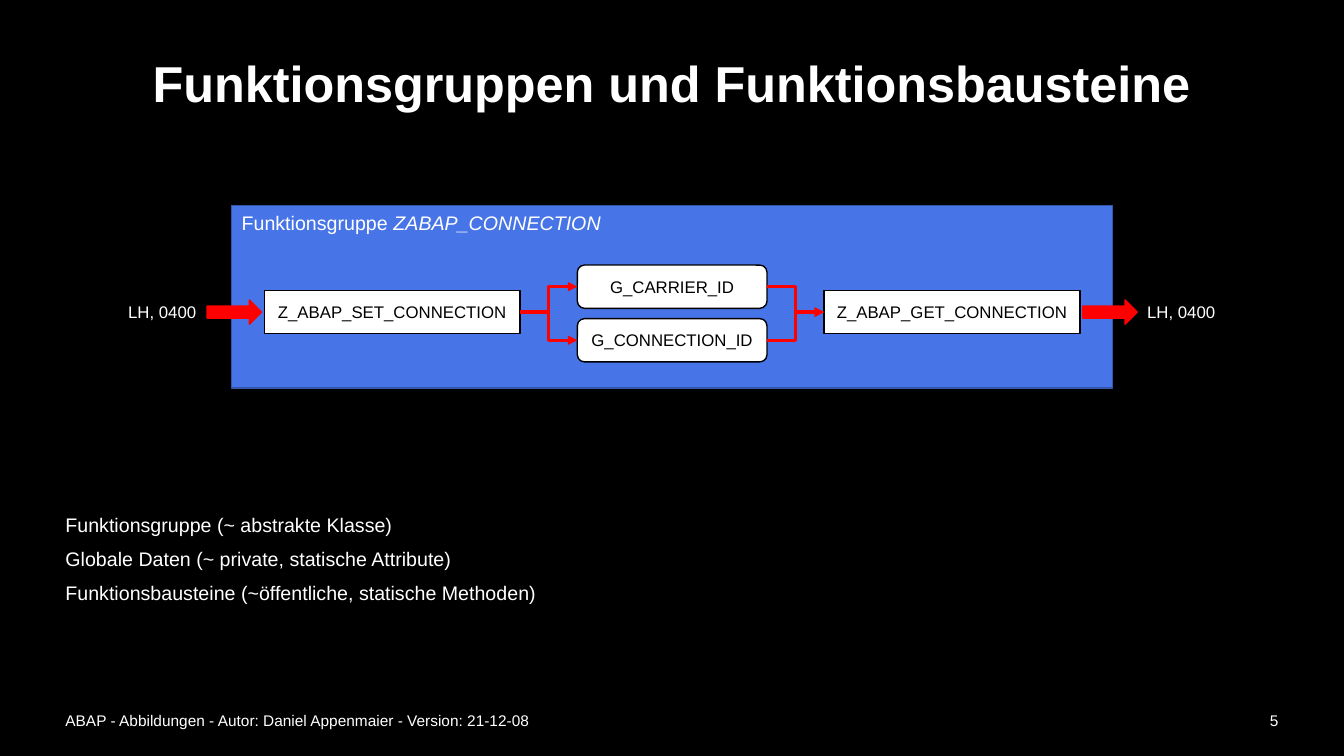
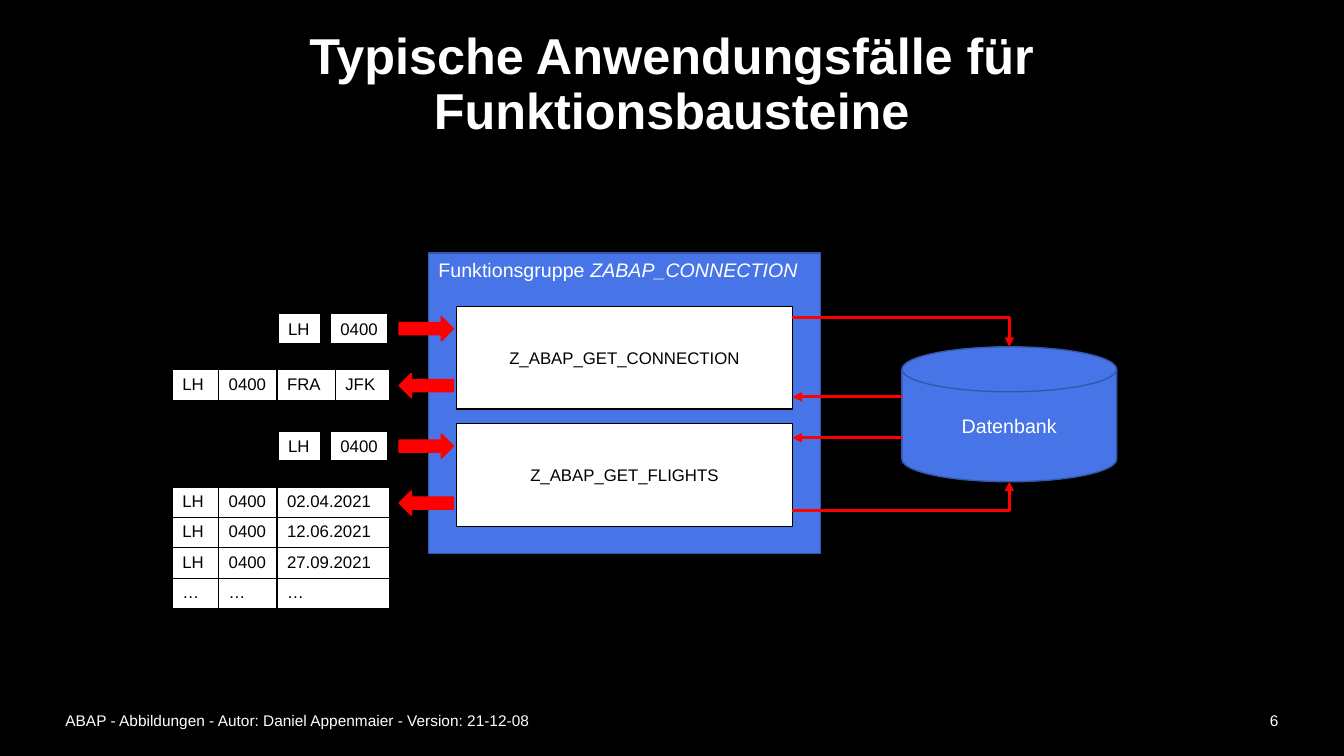
from collections import namedtuple

from lxml.etree import SubElement
from pptx import Presentation
from pptx.dml.color import RGBColor
from pptx.enum.shapes import MSO_CONNECTOR as LINK, MSO_SHAPE as SHAPE
from pptx.enum.text import MSO_ANCHOR as ANCHOR, PP_ALIGN as ALIGN
from pptx.oxml.ns import qn
from pptx.util import Cm, Pt

Box = namedtuple("Box", "left top width height")

# Shared look
BLACK, WHITE, RED = "000000", "FFFFFF", "FF0000"
BLUE, BLUE_EDGE = "4775E7", "3557AB"
FONT = "Arial"
LEFT, CONTENT_WIDTH = 1.4, 31.07
LINE_HEIGHT = 0.76
ARROW_WIDTH, ARROW_HEIGHT = 1.37, 0.61
FOOTER = "ABAP - Abbildungen - Autor: Daniel Appenmaier - Version: 21-12-08"
GROUP_NAME = ("Funktionsgruppe ", "ZABAP_CONNECTION")


def color(hex_string):
    return RGBColor.from_string(hex_string)


def cm(box):
    return [Cm(length) for length in box]


# Text
def write(frame, text, size, ink=WHITE, align=ALIGN.LEFT, anchor=ANCHOR.TOP,
          wrap=True, bold=False):
    frame.text = text
    frame.word_wrap = wrap
    frame.vertical_anchor = anchor
    paragraph = frame.paragraphs[0]
    paragraph.alignment = align
    for run in paragraph.runs:
        style(run, size, ink, bold)
    return paragraph


def style(run, size, ink, bold=False):
    run.font.name = FONT
    run.font.size = Pt(size)
    run.font.bold = bold
    run.font.color.rgb = color(ink)


def add_label(slide, box, text, size, **options):
    label = slide.shapes.add_textbox(*cm(box))
    write(label.text_frame, text, size, **options)
    return label


# Shapes
def add_block(slide, kind, box, fill, edge):
    block = slide.shapes.add_shape(kind, *cm(box))
    block.shadow.inherit = False
    block.fill.solid()
    block.fill.fore_color.rgb = color(fill)
    block.line.color.rgb = color(edge)
    block.line.width = Pt(1)
    return block


def add_white_block(slide, kind, box, text):
    block = add_block(slide, kind, box, WHITE, BLACK)
    write(block.text_frame, text, 12, BLACK, ALIGN.CENTER, ANCHOR.MIDDLE)
    return block


def add_key(slide, box, text):
    key = add_block(slide, SHAPE.RECTANGLE, box, WHITE, BLACK)
    write(key.text_frame, text, 12, BLACK, wrap=False)


def add_arrow(slide, left, top, rotation=0):
    box = Box(left, top, ARROW_WIDTH, ARROW_HEIGHT)
    arrow = add_block(slide, SHAPE.RIGHT_ARROW, box, RED, RED)
    arrow.rotation = rotation


def add_group(slide, box):
    group = add_block(slide, SHAPE.RECTANGLE, box, BLUE, BLUE_EDGE)
    prefix, name = GROUP_NAME
    paragraph = write(group.text_frame, prefix, 14)
    name_run = paragraph.add_run()
    name_run.text = name
    style(name_run, 14, WHITE)
    name_run.font.italic = True


# Connectors
def add_link(slide, kind, start=(0, 0), end=(0, 0)):
    link = slide.shapes.add_connector(kind, *cm(start + end))
    link.line.color.rgb = color(RED)
    link.line.width = Pt(2.25)
    properties = link._element.spPr
    SubElement(properties.find(qn("a:ln")), qn("a:tailEnd"), type="triangle")
    SubElement(properties, qn("a:effectLst"))
    return link


def join(slide, source, target):
    right_side, left_side = 3, 1
    link = add_link(slide, LINK.ELBOW)
    link.begin_connect(source, right_side)
    link.end_connect(target, left_side)


def add_corner_link(slide, start, end):
    link = add_link(slide, LINK.ELBOW, start, end)
    link._element.spPr.find(qn("a:prstGeom")).set("prst", "bentConnector2")


# Tables
def add_border(cell):
    properties = cell._tc.get_or_add_tcPr()
    for index, side in enumerate(("a:lnL", "a:lnR", "a:lnT", "a:lnB")):
        border = SubElement(properties, qn(side), w=str(Pt(1)))
        fill = SubElement(border, qn("a:solidFill"))
        SubElement(fill, qn("a:srgbClr"), val=BLACK)
        properties.insert(index, border)


def add_result_table(slide, left, top, widths, rows):
    box = Box(left, top, sum(widths), LINE_HEIGHT * len(rows))
    table = slide.shapes.add_table(len(rows), len(widths), *cm(box)).table
    table.first_row = table.horz_banding = False
    for column, width in zip(table.columns, widths):
        column.width = Cm(width)
    for r, row in enumerate(rows):
        for c, value in enumerate(row):
            cell = table.cell(r, c)
            cell.text = value
            style(cell.text_frame.paragraphs[0].runs[0], 12, BLACK)
            cell.fill.solid()
            cell.fill.fore_color.rgb = color(WHITE)
            add_border(cell)


# Title, footer and page number
def add_frame(prs, title, number):
    slide = prs.slides.add_slide(prs.slide_layouts[6])
    heading = add_label(slide, Box(LEFT, 0.64, CONTENT_WIDTH, 3.05), title, 36,
                        align=ALIGN.CENTER, anchor=ANCHOR.MIDDLE, bold=True)
    heading.text_frame.paragraphs[0].line_spacing = 0.9
    heading.text_frame.margin_left = heading.text_frame.margin_right = Cm(0.5)
    number_width = 2.03
    footer = Box(LEFT, 17.65, CONTENT_WIDTH - number_width, 1.02)
    add_label(slide, footer, FOOTER, 11, anchor=ANCHOR.MIDDLE)
    page = footer._replace(left=LEFT + footer.width, width=number_width)
    add_label(slide, page, str(number), 11, align=ALIGN.RIGHT,
              anchor=ANCHOR.MIDDLE)
    return slide


# Function group with its global data
def add_data_flow(slide, box):
    add_group(slide, box)
    inset, width, height = 0.82, 6.45, 1.09
    setter_box = Box(box.left + inset, box.top + 2.14, width, height)
    getter_box = setter_box._replace(
        left=box.left + box.width - inset - width)
    setter = add_white_block(slide, SHAPE.RECTANGLE, setter_box,
                             "Z_ABAP_SET_CONNECTION")
    getter = add_white_block(slide, SHAPE.RECTANGLE, getter_box,
                             "Z_ABAP_GET_CONNECTION")

    field_width = 4.78
    field_left = box.left + (box.width - field_width) / 2
    for i, name in enumerate(("G_CARRIER_ID", "G_CONNECTION_ID")):
        field_box = Box(field_left, box.top + 1.5 + i * 1.35,
                        field_width, height)
        field = add_white_block(slide, SHAPE.ROUNDED_RECTANGLE, field_box, name)
        join(slide, setter, field)
        join(slide, field, getter)

    # Values going in and out
    gap, value_width = 0.07, 2.24
    arrow_top = setter_box.top + (height - ARROW_HEIGHT) / 2
    value_top = setter_box.top + (height - LINE_HEIGHT) / 2
    input_left = setter_box.left - gap - ARROW_WIDTH
    output_left = getter_box.left + width + gap
    for arrow_left, value_left in (
            (input_left, input_left - value_width),
            (output_left, output_left + ARROW_WIDTH)):
        add_arrow(slide, arrow_left, arrow_top)
        add_label(slide, Box(value_left, value_top, value_width, LINE_HEIGHT),
                  "LH, 0400", 12, wrap=False)


def add_explanations(slide, box, lines):
    pitch = box.height / len(lines)
    for i, text in enumerate(lines):
        add_label(slide, Box(box.left, box.top + i * pitch, box.width, pitch),
                  text, 14)


# One function module with its keys, result and database links
def add_use_case(slide, box, case, database):
    add_white_block(slide, SHAPE.RECTANGLE, box, case["name"])
    arrow_left = box.left - 0.08 - ARROW_WIDTH
    add_arrow(slide, arrow_left, box.top + 0.26)
    add_arrow(slide, arrow_left, box.top + 1.69, rotation=180)

    result_left = arrow_left - 5.72
    for text, offset, width in (("LH", 2.67, 1.07), ("0400", 3.99, 1.45)):
        add_key(slide, Box(result_left + offset, box.top + 0.18,
                           width, LINE_HEIGHT), text)
    add_result_table(slide, result_left, box.top + 1.6,
                     case["widths"], case["rows"])

    right = box.left + box.width
    request_y, reply_y = box.top + case["request"], box.top + case["reply"]
    above = request_y < database.top
    disk_y = database.top if above else database.top + database.height
    add_corner_link(slide, (right, request_y),
                    (database.left + database.width / 2, disk_y))
    add_link(slide, LINK.STRAIGHT, (database.left, reply_y), (right, reply_y))


def add_database(slide, box):
    database = add_block(slide, SHAPE.FLOWCHART_MAGNETIC_DISK, box,
                         BLUE, BLUE_EDGE)
    write(database.text_frame, "Datenbank", 14, align=ALIGN.CENTER,
          anchor=ANCHOR.MIDDLE)


def add_use_cases(slide, box, database, cases):
    add_group(slide, box)
    add_database(slide, database)
    for i, case in enumerate(cases):
        module = Box(box.left + 0.71, box.top + 1.34 + i * 2.96, 8.46, 2.59)
        add_use_case(slide, module, case, database)


EXPLANATIONS = (
    "Funktionsgruppe (~ abstrakte Klasse)",
    "Globale Daten (~ private, statische Attribute)",
    "Funktionsbausteine (~öffentliche, statische Methoden)",
)
FLIGHT_DATES = ("02.04.2021", "12.06.2021", "27.09.2021")
USE_CASES = (
    {"name": "Z_ABAP_GET_CONNECTION", "request": 0.28, "reply": 2.28,
     "widths": (1.17, 1.47, 1.47, 1.37),
     "rows": [("LH", "0400", "FRA", "JFK")]},
    {"name": "Z_ABAP_GET_FLIGHTS", "request": 2.18, "reply": 0.35,
     "widths": (1.17, 1.47, 2.84),
     "rows": [("LH", "0400", date) for date in FLIGHT_DATES] + [("…",) * 3]},
)

prs = Presentation()
prs.slide_width, prs.slide_height = Cm(33.87), Cm(19.05)
backdrop = prs.slide_master.background.fill
backdrop.solid()
backdrop.fore_color.rgb = color(BLACK)

modules_slide = add_frame(prs, "Funktionsgruppen und Funktionsbausteine", 5)
add_data_flow(modules_slide, Box(5.84, 5.18, 22.2, 4.6))
add_explanations(modules_slide, Box(LEFT, 12.8, 12.6, 2.57), EXPLANATIONS)

cases_slide = add_frame(
    prs, "Typische Anwendungsfälle für Funktionsbausteine", 6)
add_use_cases(cases_slide, Box(10.8, 6.38, 9.88, 7.57),
              Box(22.73, 8.74, 5.41, 3.4), USE_CASES)

prs.save("out.pptx")
